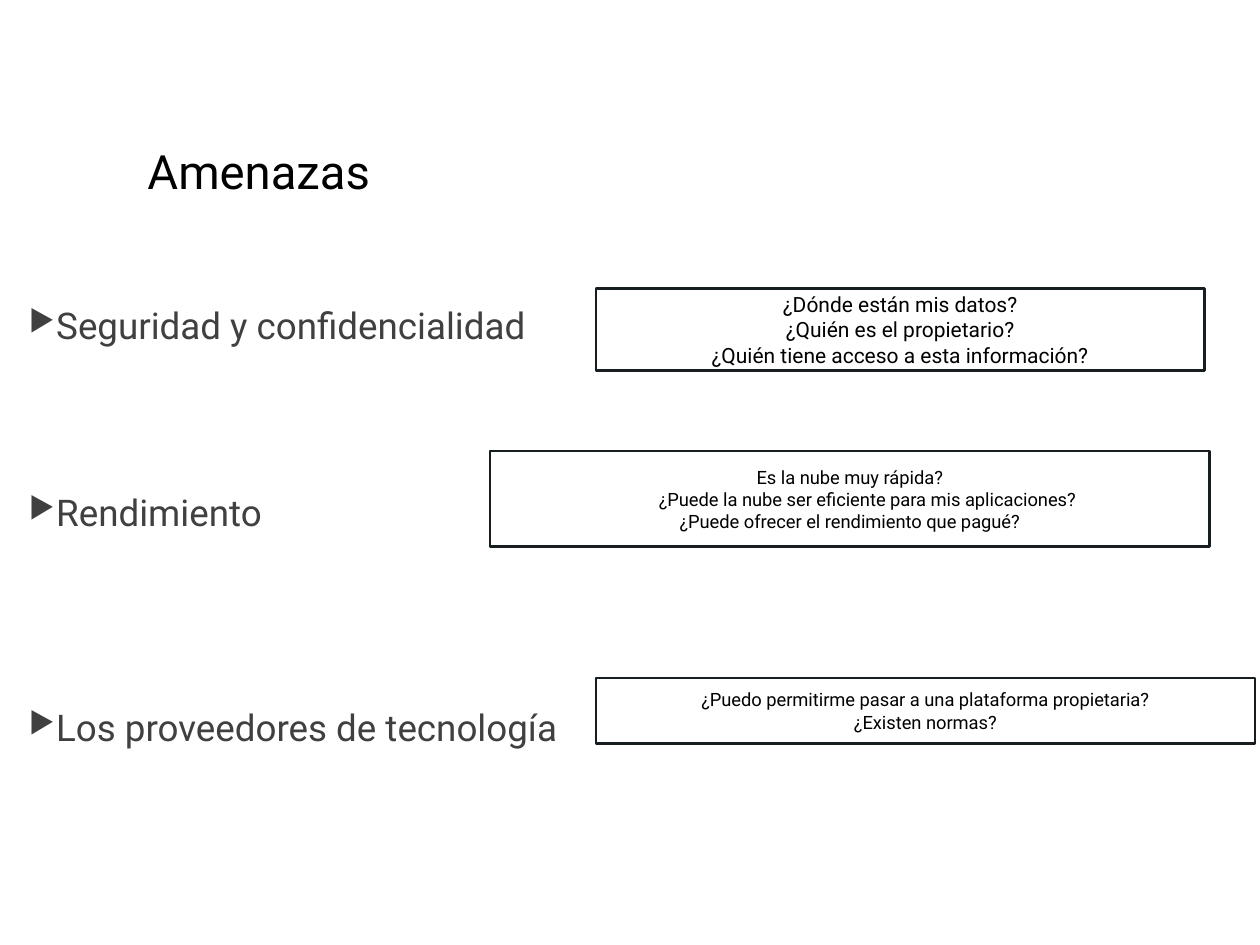
from dataclasses import dataclass

from lxml.etree import SubElement
from pptx import Presentation
from pptx.dml.color import RGBColor
from pptx.enum.shapes import MSO_SHAPE as Shape
from pptx.enum.text import MSO_ANCHOR as Anchor, PP_ALIGN as Align
from pptx.oxml.ns import qn
from pptx.util import Inches, Pt


@dataclass(frozen=True)
class Theme:
    """Colours, font and type sizes of the slide."""
    font: str = "Roboto"
    ink: RGBColor = RGBColor(0x00, 0x00, 0x00)
    topic: RGBColor = RGBColor(0x40, 0x40, 0x40)
    outline: RGBColor = RGBColor(0x16, 0x1E, 0x21)
    title_size: float = 27
    topic_size: float = 21
    question_size: float = 12
    small_size: float = 10.5
    outline_width: float = 1.5


THEME = Theme()

TOPICS = [
    ("Seguridad y confidencialidad", 0),
    ("Rendimiento", 81.7),
    ("Los proveedores de tecnología", 97.7),
]

QUESTION_BOXES = [
    ((4.73, 2.29, 4.83, 0.65), THEME.question_size, [
        ("¿Dónde están mis datos?", 0),
        ("¿Quién es el propietario?", 0),
        ("¿Quién tiene acceso a esta información?", 0),
    ]),
    ((3.89, 3.58, 5.71, 0.76), THEME.small_size, [
        ("Es la nube muy rápida?", 0),
        ("¿Puede la nube ser eficiente para mis aplicaciones?", 0.28),
        ("¿Puede ofrecer el rendimiento que pagué?", 0),
    ]),
    ((4.73, 5.38, 5.23, 0.52), THEME.small_size, [
        ("¿Puedo permitirme pasar a una plataforma propietaria?", 0),
        ("¿Existen normas?", 0),
    ]),
]


def apply(target, values):
    """Set each named attribute of the target."""
    for name, value in values.items():
        setattr(target, name, value)


def prepare_frame(shape, anchor):
    """Give a shape's text frame its wrapping, anchor and margins."""
    frame = shape.text_frame
    apply(frame, {
        "word_wrap": True, "vertical_anchor": anchor,
        "margin_left": Inches(0.07), "margin_right": Inches(0.07),
        "margin_top": Inches(0.04), "margin_bottom": Inches(0.04),
    })
    return frame


def add_para(frame, index, text, size, colour):
    """Write one paragraph and return it."""
    para = frame.add_paragraph() if index else frame.paragraphs[0]
    span = para.add_run()
    span.text = text
    apply(span.font, {"name": THEME.font, "size": Pt(size)})
    span.font.color.rgb = colour
    return para


def add_bullet(para):
    """Put a triangle directly before the paragraph's text."""
    props = para._p.get_or_add_pPr()
    apply_indent = {"marL": "0", "indent": "0"}
    for name, value in apply_indent.items():
        props.set(name, value)
    SubElement(props, qn("a:buSzPct"), val="80000")
    SubElement(props, qn("a:buChar"), char="▶")


def add_title(page, box, text):
    """Place the slide title."""
    shape = page.shapes.add_textbox(*map(Inches, box))
    frame = prepare_frame(shape, Anchor.TOP)
    add_para(frame, 0, text, THEME.title_size, THEME.ink)


def add_topics(page, box, topics):
    """Place the bulleted list of threats."""
    shape = page.shapes.add_textbox(*map(Inches, box))
    frame = prepare_frame(shape, Anchor.TOP)
    for index, (text, gap) in enumerate(topics):
        para = add_para(frame, index, text, THEME.topic_size, THEME.topic)
        add_bullet(para)
        para.space_before = Pt(gap)


def add_questions(page, box, size, questions):
    """Place an outlined box of centred questions."""
    shape = page.shapes.add_shape(Shape.RECTANGLE, *map(Inches, box))
    shape.shadow.inherit = False
    shape.fill.background()
    shape.line.color.rgb = THEME.outline
    shape.line.width = Pt(THEME.outline_width)
    frame = prepare_frame(shape, Anchor.MIDDLE)
    for index, (text, indent) in enumerate(questions):
        para = add_para(frame, index, text, size, THEME.ink)
        para.alignment = Align.CENTER
        if indent:
            para._p.get_or_add_pPr().set("marL", str(Inches(indent)))


def main():
    """Build the slide and save the deck."""
    deck = Presentation()
    apply(deck, {"slide_width": Inches(10), "slide_height": Inches(7.5)})
    page = deck.slides.add_slide(deck.slide_layouts[6])
    add_title(page, (1.1, 1.09, 5.79, 1.15), "Amenazas")
    add_topics(page, (0.16, 2.36, 8.86, 4.05), TOPICS)
    for box, size, questions in QUESTION_BOXES:
        add_questions(page, box, size, questions)
    deck.save("out.pptx")


if __name__ == "__main__":
    main()
